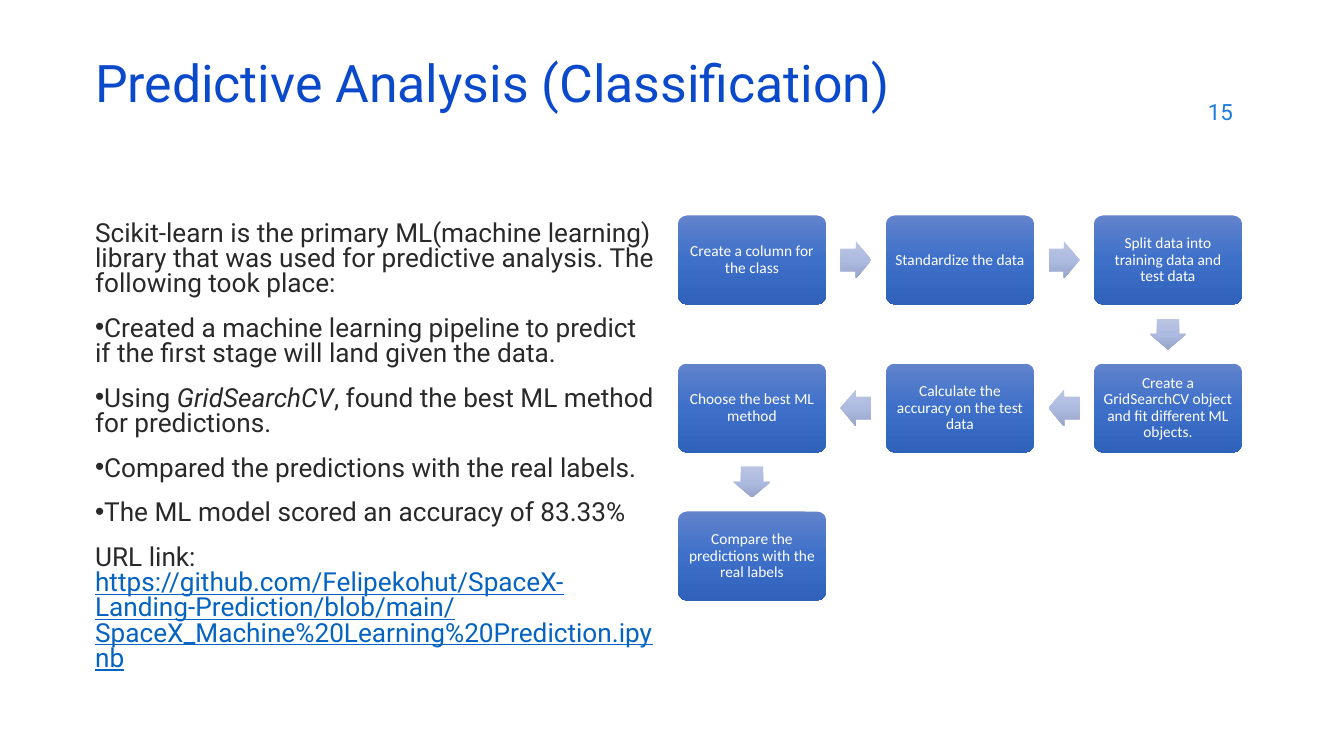
from itertools import pairwise

from lxml import etree
from pptx import Presentation
from pptx import util as u
from pptx.dml.color import RGBColor
from pptx.enum import shapes, text
from pptx.oxml import ns

PX = 12192000 / 1344

COLORS = {
    "title": "0B49CB",
    "body": "292929",
    "link": "0563C1",
    "number": "1C7DDB",
    "step": "FFFFFF",
}
GRADIENTS = {
    "step": ("6183CB", "3E70CA", "3062BB"),
    "arrow": ("BBC5E3", "AEBBE0", "98A4CB"),
}
FONTS = {
    "title": {"name": "Roboto", "size": u.Pt(37)},
    "body": {"name": "Roboto", "size": u.Pt(18.7)},
    "link": {"name": "Roboto", "size": u.Pt(18.7), "underline": True},
    "number": {"name": "Roboto", "size": u.Pt(16)},
    "step": {"name": "Calibri", "size": u.Pt(11)},
}
PARAGRAPHS = {
    "title": {"alignment": text.PP_ALIGN.LEFT, "line_spacing": 0.7},
    "body": {"alignment": text.PP_ALIGN.LEFT, "line_spacing": 0.8},
    "number": {"alignment": text.PP_ALIGN.RIGHT},
    "step": {"alignment": text.PP_ALIGN.CENTER, "line_spacing": 0.9},
}
MIDDLE = {
    "word_wrap": True,
    "auto_size": text.MSO_AUTO_SIZE.NONE,
    "vertical_anchor": text.MSO_ANCHOR.MIDDLE,
}
TOP = MIDDLE | {"vertical_anchor": text.MSO_ANCHOR.TOP}

BODY = [
    (False, [("Scikit-learn is the primary ML(machine learning) library that was used "
              "for predictive analysis. The following took place:", "body", {})]),
    (True, [("Created a machine learning pipeline to predict if the first stage "
             "will land given the data.", "body", {})]),
    (True, [("Using ", "body", {}),
            ("GridSearchCV", "body", {"italic": True}),
            (", found the best ML method for predictions.", "body", {})]),
    (True, [("Compared the predictions with the real labels.", "body", {})]),
    (True, [("The ML model scored an accuracy of 83.33%", "body", {})]),
    (False, [("URL link:", "body", {}),
             None,
             ("https://github.com/Felipekohut/SpaceX-Landing-Prediction/blob/main/"
              "SpaceX_Machine%20Learning%20Prediction.ipynb", "link", {})]),
]
STEPS = [
    "Create a column for the class",
    "Standardize the data",
    "Split data into training data and test data",
    "Create a GridSearchCV object and fit different ML objects.",
    "Calculate the accuracy on the test data",
    "Choose the best ML method",
    "Compare the predictions with the real labels",
]
COLUMNS = 3
FIRST_CENTER = (752, 260)
PITCH = (208, 148)
STEP_SIZE = (148, 89)
ARROW_SIZE = (31, 37)


def px(value):
    return u.Emu(round(value * PX))


def assign(target, values):
    for name, value in values.items():
        setattr(target, name, value)


class SlideBuilder:
    def __init__(self, presentation):
        self.slide = presentation.slides.add_slide(presentation.slide_layouts[1])

    def place(self, shape, left, top, width, height):
        assign(shape, {"left": px(left), "top": px(top),
                       "width": px(width), "height": px(height)})

    def run(self, paragraph, words, style, extra=None):
        run = paragraph.add_run()
        run.text = words
        assign(run.font, FONTS[style] | (extra or {}))
        run.font.color.rgb = RGBColor.from_string(COLORS[style])

    def line(self, shape, words, style):
        assign(shape.text_frame, MIDDLE)
        paragraph = shape.text_frame.paragraphs[0]
        assign(paragraph, PARAGRAPHS[style])
        self.run(paragraph, words, style)

    def title(self, words, *box):
        shape = self.slide.shapes.title
        self.place(shape, *box)
        self.line(shape, words, "title")

    def number(self, words, *box):
        shape = self.slide.shapes.add_textbox(*map(px, box))
        self.line(shape, words, "number")

    def bullet(self, paragraph, bulleted):
        properties = paragraph._p.get_or_add_pPr()
        properties.set("marL", "0")
        properties.set("indent", "0")
        if bulleted:
            etree.SubElement(properties, ns.qn("a:buChar")).set("char", "•")
        else:
            etree.SubElement(properties, ns.qn("a:buNone"))

    def body(self, entries, *box):
        shape = self.slide.placeholders[1]
        self.place(shape, *box)
        frame = shape.text_frame
        assign(frame, TOP)
        for index, (bulleted, runs) in enumerate(entries):
            paragraph = frame.add_paragraph() if index else frame.paragraphs[0]
            self.bullet(paragraph, bulleted)
            assign(paragraph, PARAGRAPHS["body"])
            paragraph.space_before = u.Pt(14 if index else 0)
            for run in runs:
                if run:
                    self.run(paragraph, *run)
                else:
                    paragraph.add_line_break()

    def gradient(self, shape, colors):
        shape.fill.gradient()
        shape.fill.gradient_angle = 270
        fill = shape._element.spPr.find(ns.qn("a:gradFill"))
        fill.set("rotWithShape", "0")
        stops = fill.find(ns.qn("a:gsLst"))
        for stop in list(stops):
            stops.remove(stop)
        for index, color in enumerate(colors):
            stop = etree.SubElement(stops, ns.qn("a:gs"), pos=str(index * 50000))
            etree.SubElement(stop, ns.qn("a:srgbClr"), val=color)

    def block(self, kind, center, size, style, adjustments):
        left, top = (middle - length / 2 for middle, length in zip(center, size))
        shape = self.slide.shapes.add_shape(kind, *map(px, (left, top, *size)))
        shape.shadow.inherit = False
        shape.line.fill.background()
        self.gradient(shape, GRADIENTS[style])
        for index, value in enumerate(adjustments):
            shape.adjustments[index] = value
        return shape

    def step(self, words, center):
        shape = self.block(shapes.MSO_SHAPE.ROUNDED_RECTANGLE, center, STEP_SIZE,
                           "step", [0.1])
        for side in ("left", "top", "right", "bottom"):
            setattr(shape.text_frame, f"margin_{side}", px(5))
        self.line(shape, words, "step")

    def arrow(self, start, end):
        center = [(a + b) / 2 for a, b in zip(start, end)]
        shape = self.block(shapes.MSO_SHAPE.RIGHT_ARROW, center, ARROW_SIZE,
                           "arrow", [0.6, 0.5])
        if end[1] > start[1]:
            shape.rotation = 90
        elif end[0] < start[0]:
            shape.rotation = 180


def step_center(index):
    row, column = divmod(index, COLUMNS)
    if row % 2:
        column = COLUMNS - 1 - column
    return FIRST_CENTER[0] + column * PITCH[0], FIRST_CENTER[1] + row * PITCH[1]


def main():
    presentation = Presentation()
    presentation.slide_width = px(1344)
    presentation.slide_height = px(756)
    builder = SlideBuilder(presentation)
    builder.number("15", 941, 90, 302, 44)
    builder.body(BODY, 85, 217, 580, 480)
    builder.title("Predictive Analysis (Classification)", 85, 59, 1159, 60)
    centers = [step_center(index) for index in range(len(STEPS))]
    for words, center in zip(STEPS, centers):
        builder.step(words, center)
    for start, end in pairwise(centers):
        builder.arrow(start, end)
    presentation.save("out.pptx")


if __name__ == "__main__":
    main()
